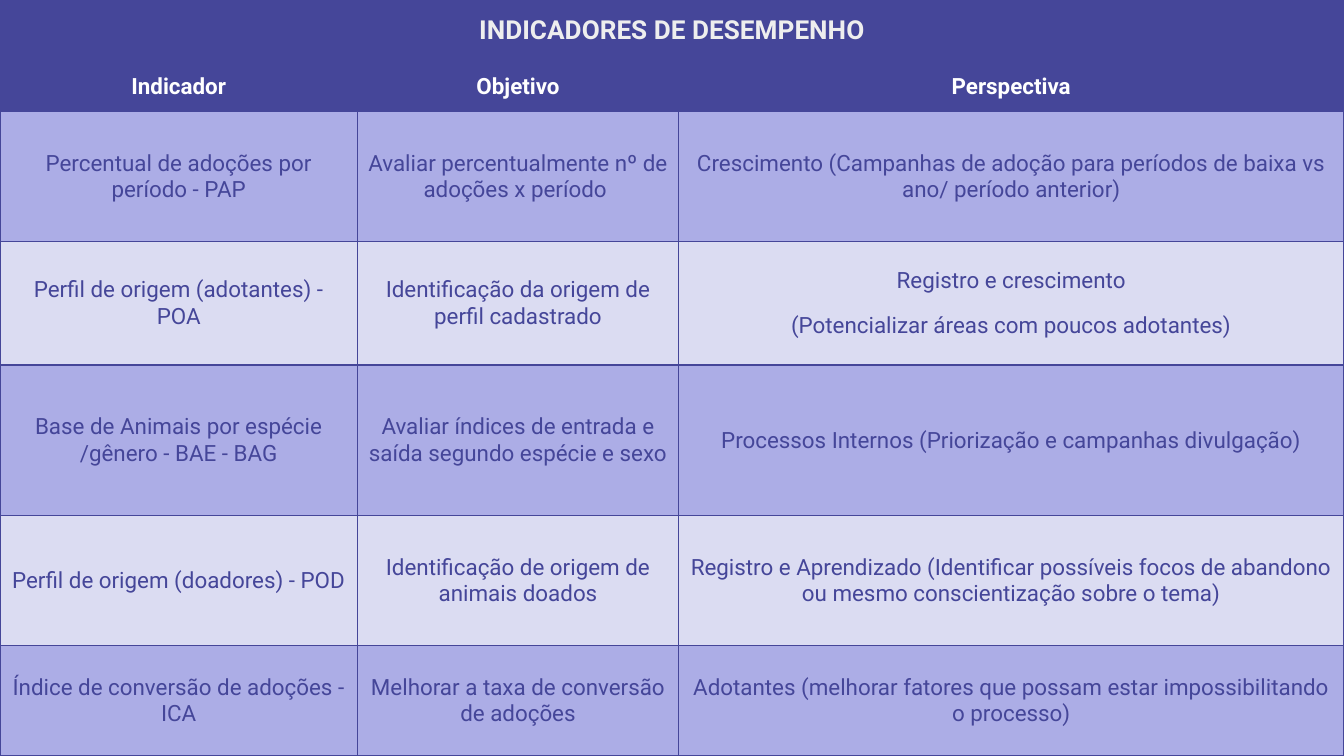
from lxml import etree
from pptx import Presentation, util as u
from pptx.dml.color import RGBColor
from pptx.enum import text
from pptx.oxml import ns

COLORS = {
    "background": "F8F4EB",
    "indigo": "454699",
    "lilac": "ACADE6",
    "pale": "DBDCF2",
    "title": "EEEEEE",
    "white": "FFFFFF",
}
FONT = "Roboto"
SLIDE_WIDTH = 10
SLIDE_HEIGHT = SLIDE_WIDTH * 9 / 16
COLUMN_WIDTHS = [2.66, 2.39, 4.95]
ROW_HEIGHTS = [0.46, 0.37, 0.97, 0.92, 1.12, 0.97, 0.82]
TITLE = "INDICADORES DE DESEMPENHO"
HEADINGS = ["Indicador", "Objetivo", "Perspectiva"]
INDICATORS = [
    ["Percentual de adoções por período - PAP",
     "Avaliar percentualmente nº de adoções x período ",
     "Crescimento (Campanhas de adoção para períodos de baixa vs ano/ período anterior)"],
    ["Perfil de origem (adotantes) - POA",
     "Identificação da origem de perfil cadastrado",
     "Registro e crescimento\n(Potencializar áreas com poucos adotantes)"],
    ["Base de Animais por espécie /gênero - BAE - BAG",
     "Avaliar índices de entrada e saída segundo espécie e sexo",
     "Processos Internos (Priorização e campanhas divulgação)"],
    ["Perfil de origem (doadores) - POD",
     "Identificação de origem de animais doados",
     "Registro e Aprendizado (Identificar possíveis focos de abandono "
     "ou mesmo conscientização sobre o tema)"],
    ["Índice de conversão de adoções - ICA",
     "Melhorar a taxa de conversão de adoções",
     "Adotantes (melhorar fatores que possam estar impossibilitando o processo)"],
]


def rgb(name):
    """Return the named palette colour."""
    return RGBColor.from_string(COLORS[name])


def write_text(frame, content, size=12, color="indigo", bold=False):
    """Write centred paragraphs, one per line of content."""
    lines = content.split("\n")
    for index, line in enumerate(lines):
        paragraph = frame.paragraphs[0] if index == 0 else frame.add_paragraph()
        paragraph.alignment = text.PP_ALIGN.CENTER
        paragraph.space_before = u.Pt(10 if index else 0)
        paragraph.space_after = u.Pt(10 if index == len(lines) - 1 else 0)
        run = paragraph.add_run()
        run.text = line
        run.font.name = FONT
        run.font.size = u.Pt(size)
        run.font.bold = bold
        run.font.color.rgb = rgb(color)


def style_cell(cell, fill):
    """Set the borders, fill, margins and anchor of a cell."""
    properties = cell._tc.get_or_add_tcPr()
    for side in ("L", "R", "T", "B"):
        border = etree.SubElement(properties, ns.qn(f"a:ln{side}"), w=str(u.Pt(0.75)))
        solid = etree.SubElement(border, ns.qn("a:solidFill"))
        etree.SubElement(solid, ns.qn("a:srgbClr"), val=COLORS["indigo"])
    cell.fill.solid()
    cell.fill.fore_color.rgb = rgb(fill)
    cell.margin_left = cell.margin_right = u.Inches(0.08)
    cell.margin_top = cell.margin_bottom = 0
    cell.vertical_anchor = text.MSO_ANCHOR.MIDDLE


def add_indicator_table(slide, left, top, width, height):
    """Add the indicator table, scaled to fill the given box."""
    table = slide.shapes.add_table(
        len(ROW_HEIGHTS), len(COLUMN_WIDTHS), u.Inches(left), u.Inches(top),
        u.Inches(width), u.Inches(height)).table
    for column, share in zip(table.columns, COLUMN_WIDTHS):
        column.width = u.Inches(width * share / sum(COLUMN_WIDTHS))
    for row, share in zip(table.rows, ROW_HEIGHTS):
        row.height = u.Inches(height * share / sum(ROW_HEIGHTS))

    for row_index, row in enumerate(table.rows):
        banding = "pale" if row_index % 2 else "lilac"
        for cell in row.cells:
            style_cell(cell, "indigo" if row_index < 2 else banding)

    title = table.cell(0, 0)
    title.merge(table.cell(0, len(COLUMN_WIDTHS) - 1))
    write_text(title.text_frame, TITLE, size=14, color="title", bold=True)
    for column_index, heading in enumerate(HEADINGS):
        write_text(table.cell(1, column_index).text_frame, heading, color="white", bold=True)
    for row_index, indicator in enumerate(INDICATORS, start=2):
        for column_index, entry in enumerate(indicator):
            write_text(table.cell(row_index, column_index).text_frame, entry)


def main():
    """Build and save the presentation."""
    deck = Presentation()
    deck.slide_width, deck.slide_height = u.Inches(SLIDE_WIDTH), u.Inches(SLIDE_HEIGHT)
    slide = deck.slides.add_slide(deck.slide_layouts[6])
    slide.background.fill.solid()
    slide.background.fill.fore_color.rgb = rgb("background")
    add_indicator_table(slide, 0, 0, SLIDE_WIDTH, SLIDE_HEIGHT)
    deck.save("out.pptx")


if __name__ == "__main__":
    main()
